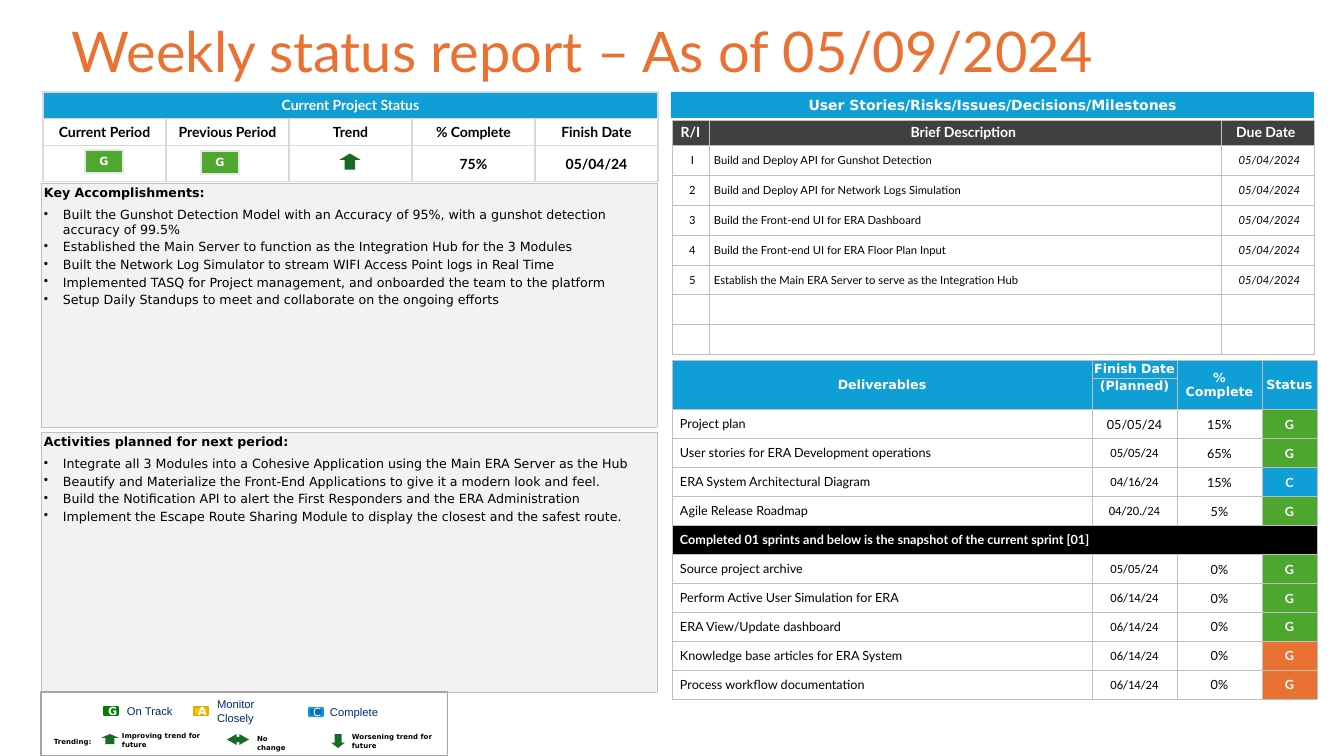
import lxml.etree
import pptx
import pptx.dml.color
import pptx.enum.shapes
import pptx.enum.text
import pptx.oxml.ns
import pptx.util

PX = 9071  # EMU per px, 100.8 px to the inch
BLUE, GREEN, ORANGE, GREY = "0F9ED5", "4DA72E", "E97132", "BFBFBF"
INSETS, TIGHT = (10, 5, 10, 5), (1, 1, 1, 0)
rgb = pptx.dml.color.RGBColor.from_string
qn = pptx.oxml.ns.qn
Pt = pptx.util.Pt
ALIGN = pptx.enum.text.PP_ALIGN
ANCHOR = pptx.enum.text.MSO_ANCHOR
SHAPE = pptx.enum.shapes.MSO_SHAPE

deck = pptx.Presentation()
deck.slide_width, deck.slide_height = 1344 * PX, 756 * PX
slide = deck.slides.add_slide(deck.slide_layouts[6])
shapes = slide.shapes


def write(holder, text, size, font="Lato", colour="000000", bold=False, italic=False,
          align=ALIGN.CENTER, anchor=ANCHOR.MIDDLE, insets=INSETS):
    """Fill a cell or shape with text in one style."""
    area = holder if hasattr(holder, "margin_left") else holder.text_frame
    area.margin_left, area.margin_top, area.margin_right, area.margin_bottom = [
        inset * PX for inset in insets]
    area.vertical_anchor = anchor
    holder.text_frame.text = text
    for paragraph in holder.text_frame.paragraphs:
        paragraph.alignment = align
        for run in paragraph.runs:
            run.font.size, run.font.name = Pt(size), font
            run.font.bold, run.font.italic = bold, italic
            run.font.color.rgb = rgb(colour)


def add_grid(left, top, columns, rows, border=GREY, weight=0.5):
    """Add a white table with even borders."""
    table = shapes.add_table(len(rows), len(columns), left * PX, top * PX,
                             sum(columns) * PX, sum(rows) * PX).table
    table.first_row = table.horz_banding = False
    for column, width in zip(table.columns, columns):
        column.width = width * PX
    for row, height in zip(table.rows, rows):
        row.height = height * PX
    for cell in table.iter_cells():
        properties = cell._tc.get_or_add_tcPr()
        for side in ("a:lnL", "a:lnR", "a:lnT", "a:lnB"):
            line = lxml.etree.SubElement(properties, qn(side), w=str(Pt(weight)))
            solid = lxml.etree.SubElement(line, qn("a:solidFill"))
            lxml.etree.SubElement(solid, qn("a:srgbClr"), val=border)
        cell.fill.solid()
        cell.fill.fore_color.rgb = rgb("FFFFFF")
        # Small type in empty cells keeps the rows low
        cell.text_frame.paragraphs[0]._p.get_or_add_endParaRPr().set("sz", "800")
    return table


# Title
title = shapes.add_textbox(62, 19, 1218, 92)
title.left, title.top, title.width, title.height = [n * PX for n in (62, 19, 1218, 92)]
title.text_frame.word_wrap = True
write(title, "Weekly status report – As of 05/09/2024", 40, colour=ORANGE,
      align=ALIGN.LEFT, anchor=ANCHOR.TOP)
title.text_frame.paragraphs[0].line_spacing = 0.9

# Accomplishments and planned activities
panels = [
    (183, 244, "Key Accomplishments:", [
        "Built the Gunshot Detection Model with an Accuracy of 95%, with a gunshot detection accuracy of 99.5%",
        "Established the Main Server to function as the Integration Hub for the 3 Modules",
        "Built the Network Log Simulator to stream WIFI Access Point logs in Real Time",
        "Implemented TASQ for Project management, and onboarded the team to the platform",
        "Setup Daily Standups to meet and collaborate on the ongoing efforts"]),
    (432, 260, "Activities planned for next period:", [
        "Integrate all 3 Modules into a Cohesive Application using the Main ERA Server as the Hub",
        "Beautify and Materialize the Front-End Applications to give it a modern look and feel.",
        "Build the Notification API to alert the First Responders and the ERA Administration",
        "Implement the Escape Route Sharing Module to display the closest and the safest route."]),
]
for top, height, heading, items in panels:
    panel = add_grid(41, top, [616], [height]).cell(0, 0)
    panel.fill.fore_color.rgb = rgb("F2F2F2")
    write(panel, "\n".join([heading] + items), 9, "DejaVu Sans", align=ALIGN.LEFT,
          anchor=ANCHOR.TOP, insets=(3, 3, 2, 4))
    heading_line, *item_lines = panel.text_frame.paragraphs
    heading_line.runs[0].font.bold = True
    heading_line.space_after = Pt(3)
    for item_line in item_lines:
        item_line.space_before = Pt(2)
        layout = item_line._p.get_or_add_pPr()
        layout.set("marL", str(19 * PX))
        layout.set("indent", str(-19 * PX))
        lxml.etree.SubElement(layout, qn("a:buChar"), char="•")

# Stories and risks
stories = add_grid(672, 120, [37, 512, 93], [25] + [30] * 7)
for column, heading in enumerate(["R/I", "Brief Description ", "Due Date "]):
    cell = stories.cell(0, column)
    cell.fill.fore_color.rgb = rgb("404040")
    write(cell, heading, 10, colour="FFFFFF", bold=True, insets=(1, 1, 1, 1))
story_rows = [
    ("I", "Build and Deploy API for Gunshot Detection"),
    ("2", "Build and Deploy API for Network Logs Simulation"),
    ("3", "Build the Front-end UI for ERA Dashboard"),
    ("4", "Build the Front-end UI for ERA Floor Plan Input"),
    ("5", "Establish the Main ERA Server to serve as the Integration Hub"),
]
for row, (number, description) in enumerate(story_rows, 1):
    for column, text in enumerate([number, description, "05/04/2024"]):
        write(stories.cell(row, column), text, 8, italic=column == 2, insets=(5, 1, 1, 0),
              align=ALIGN.LEFT if column == 1 else ALIGN.CENTER)

# Deliverables
deliverables = add_grid(672, 360, [420, 85, 85, 55], [18, 31] + [29] * 10)
for column in (0, 2, 3):
    deliverables.cell(0, column).merge(deliverables.cell(1, column))
headings = [(0, 0, "Deliverables"), (0, 1, "Finish Date"), (0, 2, "% Complete"),
            (0, 3, "Status"), (1, 1, "(Planned)")]
for row, column, heading in headings:
    cell = deliverables.cell(row, column)
    cell.fill.fore_color.rgb = rgb(BLUE)
    write(cell, heading, 9, "DejaVu Sans", "FFFFFF", bold=True, insets=TIGHT,
          anchor=ANCHOR.TOP if row else ANCHOR.MIDDLE)
deliverable_rows = [
    ("Project plan", "05/05/24", "15%", "G", GREEN),
    ("User stories for ERA Development operations", "05/05/24", "65%", "G", GREEN),
    ("ERA System Architectural Diagram", "04/16/24", "15%", "C", BLUE),
    ("Agile Release Roadmap", "04/20./24", "5%", "G", GREEN),
    ("Completed 01 sprints and below is the snapshot of the current sprint [01]",),
    ("Source project archive", "05/05/24", "0%", "G", GREEN),
    ("Perform Active User Simulation for ERA", "06/14/24", "0%", "G", GREEN),
    ("ERA View/Update dashboard", "06/14/24", "0%", "G", GREEN),
    ("Knowledge base articles for ERA System", "06/14/24", "0%", "G", ORANGE),
    ("Process workflow documentation", "06/14/24", "0%", "G", ORANGE),
]
for row, (name, *progress) in enumerate(deliverable_rows, 2):
    name_cell = deliverables.cell(row, 0)
    write(name_cell, name, 9, colour="000000" if progress else "FFFFFF",
          bold=not progress, align=ALIGN.LEFT, insets=(8, 4, 8, 4))
    if not progress:
        name_cell.merge(deliverables.cell(row, 3))
        name_cell.fill.fore_color.rgb = rgb("000000")
        continue
    finish, complete, status, status_colour = progress
    write(deliverables.cell(row, 1), finish, 9, "Lato" if row == 2 else "Calibri", insets=TIGHT)
    write(deliverables.cell(row, 2), complete, 9, insets=TIGHT)
    write(deliverables.cell(row, 3), status, 9, colour="FFFFFF", bold=True, insets=TIGHT)
    deliverables.cell(row, 3).fill.fore_color.rgb = rgb(status_colour)

# Current project status
project = add_grid(43, 92, [123] * 5, [26, 27, 36], "D9D9D9", 1)
project.cell(0, 0).merge(project.cell(0, 4))
project.cell(0, 0).fill.fore_color.rgb = rgb(BLUE)
write(project.cell(0, 0), "Current Project Status", 10, colour="FFFFFF", bold=True,
      anchor=ANCHOR.TOP)
for column, heading in enumerate(
        ["Current Period", "Previous Period", "Trend", "% Complete", "Finish Date"]):
    write(project.cell(1, column), heading, 10, bold=True, anchor=ANCHOR.TOP)
for column, value in [(3, "75%"), (4, "05/04/24")]:
    write(project.cell(2, column), value, 10, bold=True)

# Section bar, legend frame and status badges: box, text, size, fill, line, line width
blocks = [
    ((671, 92, 643, 26), "User Stories/Risks/Issues/Decisions/Milestones", 10, BLUE, None, 0),
    ((41, 692, 407, 64), "", 8, "FFFFFF", "A6A6A6", 0.75),
    ((85, 150, 38, 23), "G", 8, "4EA72E", "E8E8E8", 1.5),
    ((201, 151, 38, 23), "G", 8, "4EA72E", "E8E8E8", 1.5),
    ((104, 707, 14, 8), "G", 8, "008000", "008000", 1.5),
    ((194, 707, 14, 8), "A", 8, "FFC000", "E2AC00", 1.5),
    ((309, 708, 14, 8), "C", 8, "0070C0", BLUE, 1.5),
]
for box, text, size, fill, outline, weight in blocks:
    block = shapes.add_shape(SHAPE.RECTANGLE, *[n * PX for n in box])
    block.shadow.inherit = False
    block.fill.solid()
    block.fill.fore_color.rgb = rgb(fill)
    if outline:
        block.line.color.rgb = rgb(outline)
        block.line.width = Pt(weight)
    else:
        block.line.fill.background()
    if text:
        write(block, text, size, "DejaVu Sans", "FFFFFF", bold=text != "C")

# Trend arrows: preset, box, rotation, head length
arrows = [
    (SHAPE.RIGHT_ARROW, (342, 151, 16, 21), 270, 0.39),
    (SHAPE.RIGHT_ARROW, (105, 730, 10, 18), 270, 0.39),
    (SHAPE.RIGHT_ARROW, (331, 734, 14, 14), 90, 0.39),
    (SHAPE.LEFT_RIGHT_ARROW, (227, 734, 22, 11), 0, 0.88),
]
for preset, box, rotation, head in arrows:
    arrow = shapes.add_shape(preset, *[n * PX for n in box])
    arrow.shadow.inherit = False
    arrow.rotation = rotation
    arrow.adjustments[1] = head
    arrow.fill.solid()
    arrow.fill.fore_color.rgb = rgb("196B24")
    arrow.line.fill.background()

# Legend labels: box, text, size, font, colour, anchor, insets
status_style = (8, "Arial", "002776", ANCHOR.MIDDLE, (0, 0, 0, 0))
trend_style = (5, "DejaVu Sans", "000000", ANCHOR.TOP, INSETS)
labels = [
    ((127, 707, 53, 8), "On Track", status_style),
    ((217, 707, 53, 8), "Monitor Closely", status_style),
    ((330, 708, 53, 8), "Complete", status_style),
    ((54, 727, 52, 29), "Trending:", trend_style[:3] + (ANCHOR.MIDDLE, (0, 5, 10, 5))),
    ((112, 727, 99, 28), "Improving trend for future", trend_style),
    ((247, 730, 61, 19), "No change", trend_style),
    ((342, 728, 107, 28), "Worsening trend for future", trend_style),
]
for box, text, (size, font, colour, anchor, insets) in labels:
    label = shapes.add_textbox(*[n * PX for n in box])
    label.text_frame.word_wrap = size == 5
    write(label, text, size, font, colour, bold=size == 5, align=ALIGN.LEFT,
          anchor=anchor, insets=insets)

deck.save("out.pptx")
